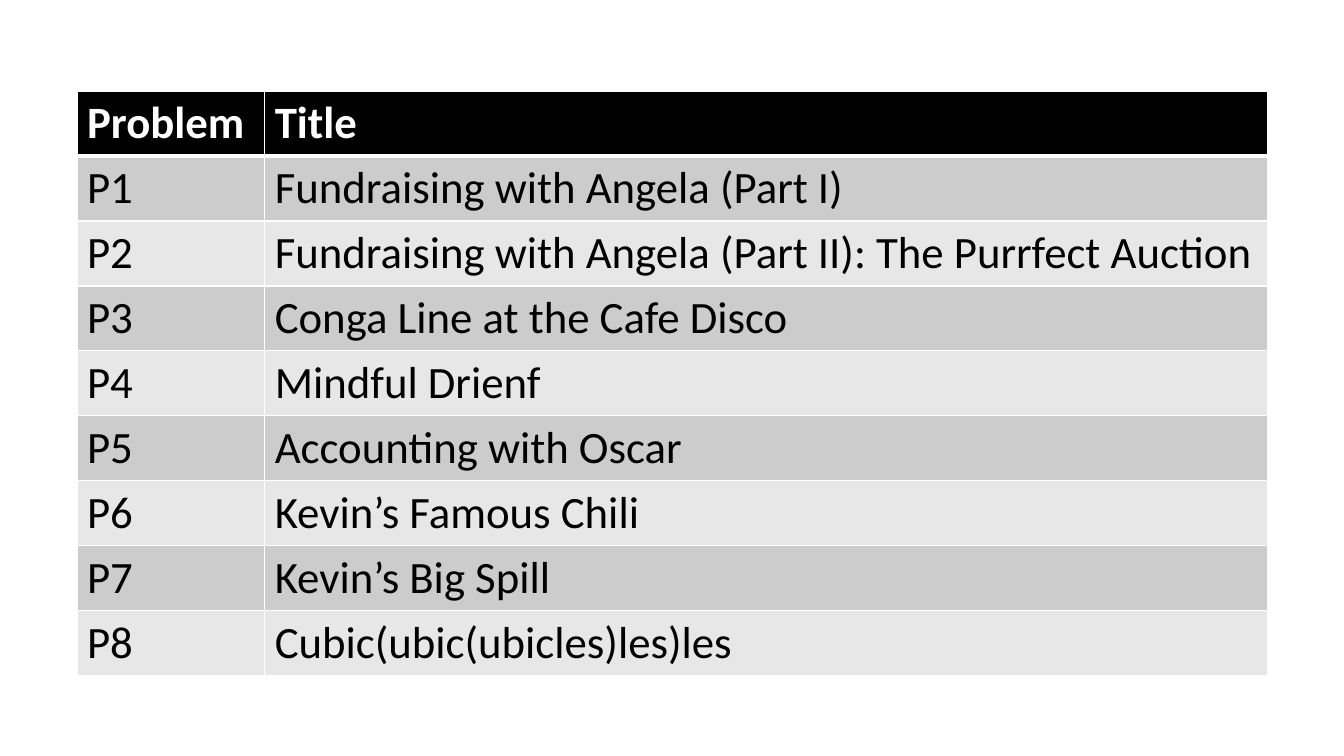
from dataclasses import dataclass

from lxml.etree import SubElement
from pptx import Presentation
from pptx.dml.color import RGBColor
from pptx.oxml.ns import qn
from pptx.table import _Cell
from pptx.util import Cm, Pt

COLORS = {"white": "FFFFFF", "black": "000000", "odd": "CCCCCC", "even": "E7E7E7"}
FONT = "Calibri"
TITLES = [
    "Fundraising with Angela (Part I)",
    "Fundraising with Angela (Part II): The Purrfect Auction",
    "Conga Line at the Cafe Disco",
    "Mindful Drienf",
    "Accounting with Oscar",
    "Kevin’s Famous Chili",
    "Kevin’s Big Spill",
    "Cubic(ubic(ubicles)les)les",
]
COLUMN_WIDTHS = [Cm(4.73), Cm(25.28)]
ROW_HEIGHT = Cm(1.63)


@dataclass(frozen=True)
class RowStyle:
    fill: str
    text: str = "black"
    bold: bool = False
    top: int = 1
    bottom: int = 1


def row_style(index: int) -> RowStyle:
    if index == 0:
        return RowStyle("black", text="white", bold=True, bottom=3)
    return RowStyle("odd" if index % 2 else "even", top=3 if index == 1 else 1)


def add_border(cell: _Cell, side: str, width: int) -> None:
    tc_pr = cell._tc.get_or_add_tcPr()
    ln = SubElement(tc_pr, qn(f"a:ln{side}"), w=str(Pt(width)))
    fill = SubElement(ln, qn("a:solidFill"))
    SubElement(fill, qn("a:srgbClr"), val=COLORS["white"])


def draw_cell(cell: _Cell, text: str, style: RowStyle) -> None:
    for side, width in (("L", 1), ("R", 1), ("T", style.top), ("B", style.bottom)):
        add_border(cell, side, width)
    cell.fill.solid()
    cell.fill.fore_color.rgb = RGBColor.from_string(COLORS[style.fill])
    r = cell.text_frame.paragraphs[0].add_run()
    r.text = text
    r.font.name = FONT
    r.font.size = Pt(32)
    r.font.bold = style.bold
    r.font.color.rgb = RGBColor.from_string(COLORS[style.text])


prs = Presentation()
prs.slide_width, prs.slide_height = Cm(33.87), Cm(19.05)
s = prs.slides.add_slide(prs.slide_layouts[6])

rows = [("Problem", "Title")]
rows += [(f"P{number}", title) for number, title in enumerate(TITLES, 1)]
table = s.shapes.add_table(
    len(rows), len(COLUMN_WIDTHS), Cm(1.94), Cm(2.3),
    sum(COLUMN_WIDTHS), ROW_HEIGHT * len(rows),
).table
for column, width in zip(table.columns, COLUMN_WIDTHS):
    column.width = width
for index, texts in enumerate(rows):
    table.rows[index].height = ROW_HEIGHT
    for column_index, text in enumerate(texts):
        draw_cell(table.cell(index, column_index), text, row_style(index))

prs.save("out.pptx")
